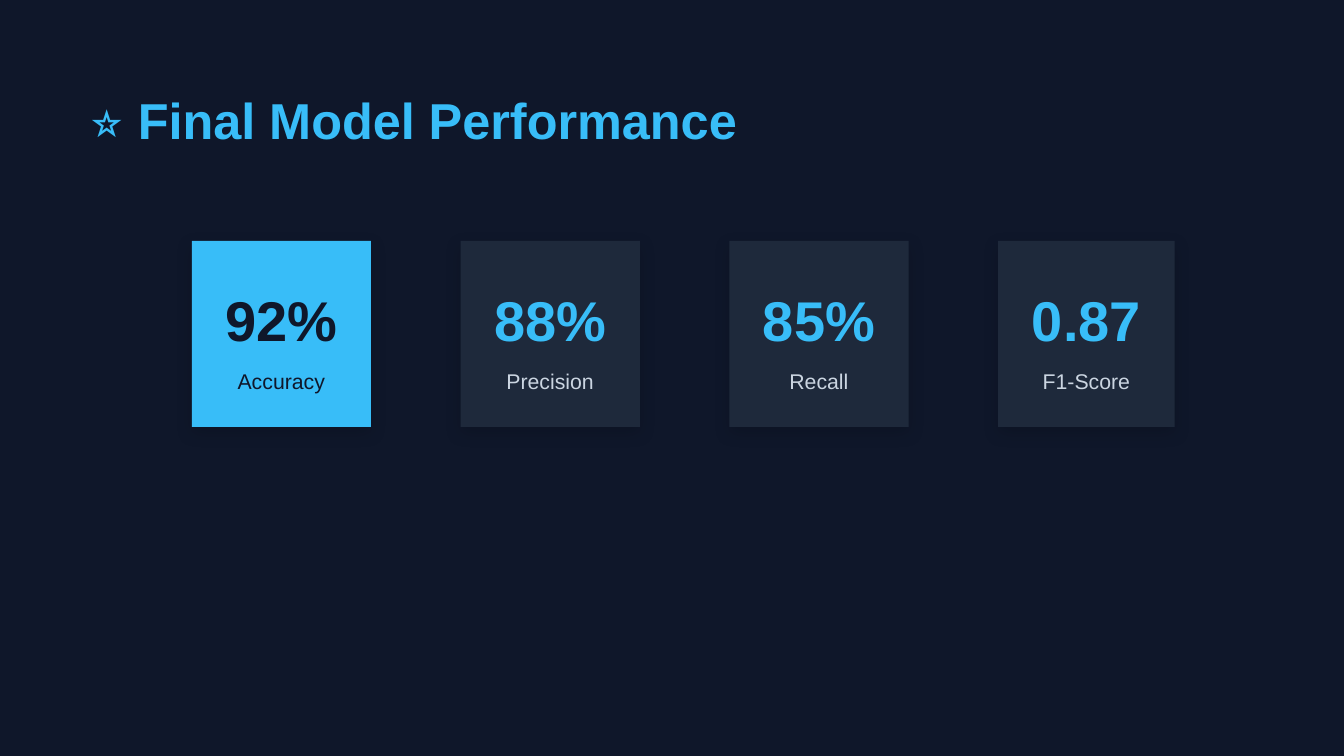
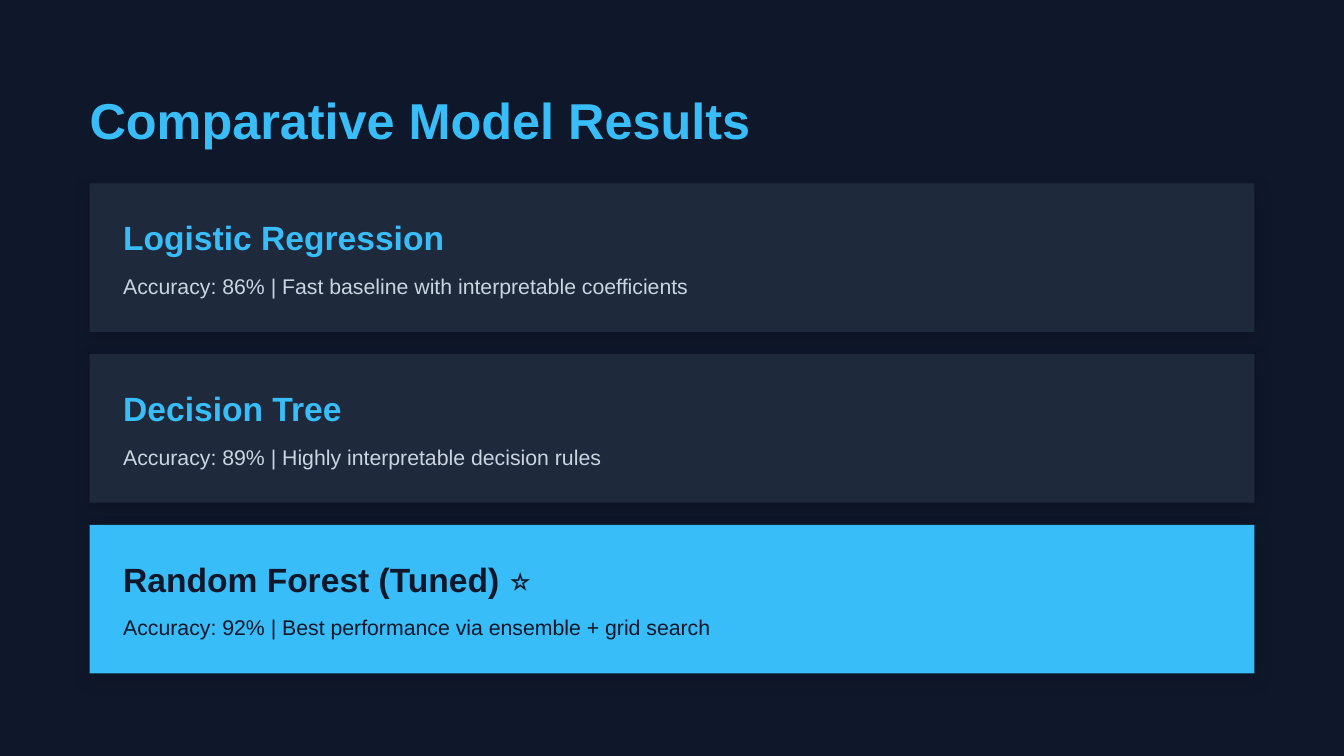
from dataclasses import dataclass

from lxml.etree import SubElement
from pptx import Presentation
from pptx.dml.color import RGBColor
from pptx.enum.shapes import MSO_SHAPE
from pptx.enum.text import PP_ALIGN
from pptx.oxml.ns import qn
from pptx.slide import Slide
from pptx.util import Emu, Pt

# Theme
EMU_PER_PX = 9525
FONT = "Arial"
NAVY, SLATE, SKY, MIST = "0F172A", "1E293B", "38BDF8", "CBD5E1"


@dataclass(frozen=True)
class TextStyle:
    size: float
    line_spacing: float
    bold: bool = False


TITLE = TextStyle(27, 32.4, True)
FIGURE = TextStyle(30, 42, True)
HEADING = TextStyle(18, 21.6, True)
BODY = TextStyle(11.4, 16)


@dataclass(frozen=True)
class Metric:
    figure: str
    label: str
    width: int = 128
    best: bool = False


@dataclass(frozen=True)
class Model:
    name: str
    summary: str
    best: bool = False


# Content
METRICS = [
    Metric("92%", "Accuracy", best=True),
    Metric("88%", "Precision"),
    Metric("85%", "Recall"),
    Metric("0.87", "F1-Score", width=126),
]
MODELS = [
    Model("Logistic Regression",
          "Accuracy: 86% | Fast baseline with interpretable coefficients"),
    Model("Decision Tree",
          "Accuracy: 89% | Highly interpretable decision rules"),
    Model("Random Forest (Tuned) ⭐",
          "Accuracy: 92% | Best performance via ensemble + grid search", best=True),
]


# Helpers
def px(length: int) -> Emu:
    return Emu(length * EMU_PER_PX)


def rgb(hex_color: str) -> RGBColor:
    return RGBColor.from_string(hex_color)


def add_card(slide: Slide, left: int, top: int, width: int, height: int, best: bool) -> None:
    card = slide.shapes.add_shape(
        MSO_SHAPE.RECTANGLE, px(left), px(top), px(width), px(height))
    card.fill.solid()
    card.fill.fore_color.rgb = rgb(SKY if best else SLATE)
    card.line.fill.background()
    # Soft shadow straight below the card
    card.shadow.inherit = False
    effects = card._element.spPr.find(qn("a:effectLst"))
    shadow = SubElement(effects, qn("a:outerShdw"), blurRad=str(Pt(9)),
                        dist=str(Pt(3)), dir="5400000", algn="bl", rotWithShape="0")
    black = SubElement(shadow, qn("a:srgbClr"), val="000000")
    SubElement(black, qn("a:alpha"), val="15000")


def add_text(slide: Slide, text: str, left: int, top: int, width: int, height: int,
             style: TextStyle, color: str, align: PP_ALIGN = PP_ALIGN.LEFT) -> None:
    frame = slide.shapes.add_textbox(px(left), px(top), px(width), px(height)).text_frame
    frame.word_wrap = True
    frame.margin_left = frame.margin_top = frame.margin_right = frame.margin_bottom = 0
    frame.text = text
    paragraph = frame.paragraphs[0]
    paragraph.alignment = align
    paragraph.line_spacing = Pt(style.line_spacing)
    font = paragraph.runs[0].font
    font.name, font.size, font.bold = FONT, Pt(style.size), style.bold
    font.color.rgb = rgb(color)


def add_titled_slide(deck: Presentation, title: str) -> Slide:
    slide = deck.slides.add_slide(deck.slide_layouts[6])
    slide.background.fill.solid()
    slide.background.fill.fore_color.rgb = rgb(NAVY)
    add_text(slide, title, 64, 64, 849, 43, TITLE, SKY)
    return slide


# Slides
def add_metric(slide: Slide, metric: Metric, left: int) -> None:
    top = 172
    add_card(slide, left, top, metric.width, 133, metric.best)
    text_left, text_width = left + 23, metric.width - 46
    add_text(slide, metric.figure, text_left, top + 24, text_width, 56, FIGURE,
             NAVY if metric.best else SKY, PP_ALIGN.CENTER)
    add_text(slide, metric.label, text_left, top + 88, text_width, 21, BODY,
             NAVY if metric.best else MIST, PP_ALIGN.CENTER)


def add_model(slide: Slide, model: Model, top: int) -> None:
    add_card(slide, 64, top, 832, 106, model.best)
    add_text(slide, model.name, 88, top + 24, 800, 29, HEADING,
             NAVY if model.best else SKY)
    add_text(slide, model.summary, 88, top + 61, 800, 21, BODY,
             NAVY if model.best else MIST)


def main() -> None:
    deck = Presentation()
    deck.slide_width, deck.slide_height = px(960), px(540)

    performance = add_titled_slide(deck, "⭐ Final Model Performance")
    for column, metric in enumerate(METRICS):
        add_metric(performance, metric, 137 + 192 * column)

    comparison = add_titled_slide(deck, "Comparative Model Results")
    for row, model in enumerate(MODELS):
        add_model(comparison, model, 131 + 122 * row)

    deck.save("out.pptx")


if __name__ == "__main__":
    main()
